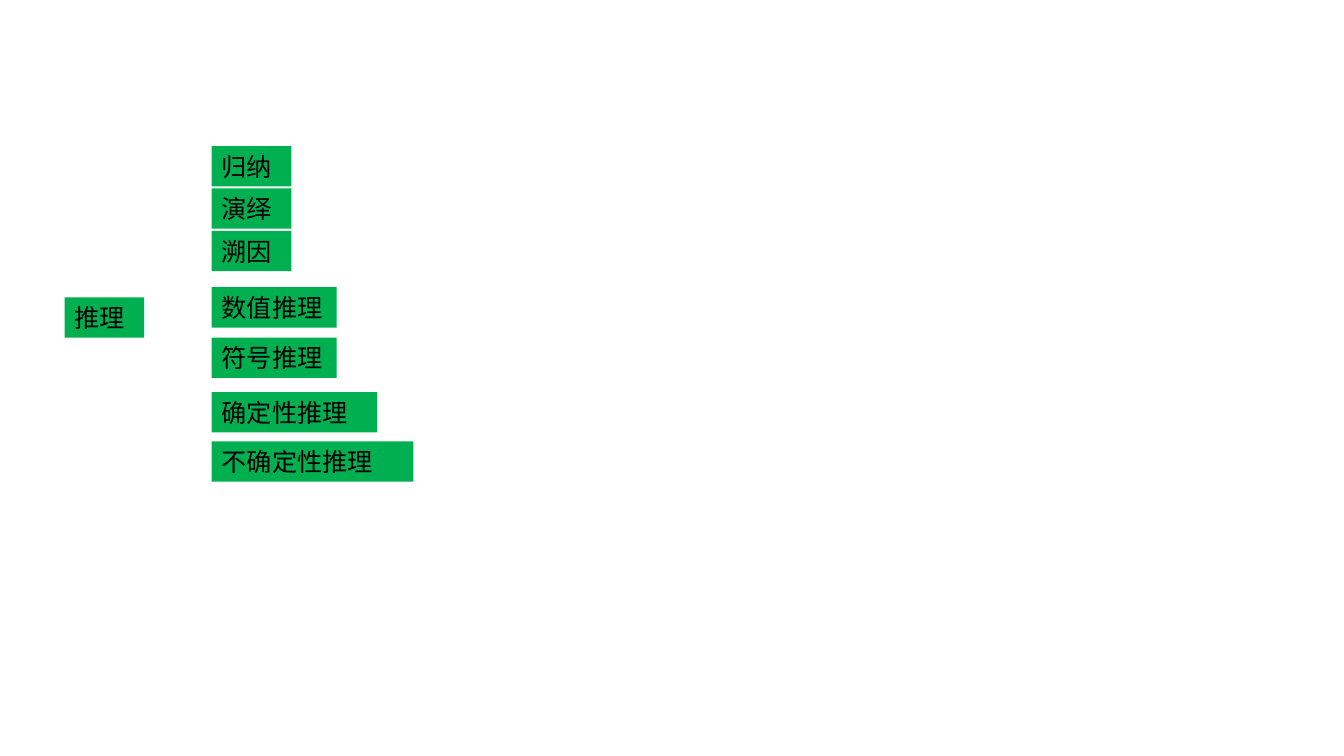
import pptx
import pptx.util
import pptx.dml.color
import pptx.enum.text
import pptx.oxml.ns
from dataclasses import dataclass
from lxml import etree
from pptx.util import Inches


@dataclass(frozen=True)
class Theme:
    box: str = "00B050"
    text: str = "000000"
    font: str = "Noto Sans CJK SC"
    size: int = 18


theme = Theme()
BOX_HEIGHT = 0.4
BRANCH_LEFT = 2.1

presentation = pptx.Presentation()
presentation.slide_width = Inches(13.33)
presentation.slide_height = Inches(7.5)
slide = presentation.slides.add_slide(presentation.slide_layouts[6])


def add_label(text, left, top, width):
    label = slide.shapes.add_textbox(
        Inches(left), Inches(top), Inches(width), Inches(BOX_HEIGHT)
    )
    label.fill.solid()
    label.fill.fore_color.rgb = pptx.dml.color.RGBColor.from_string(theme.box)
    frame = label.text_frame
    frame.text = text
    frame.word_wrap = True
    frame.auto_size = pptx.enum.text.MSO_AUTO_SIZE.NONE
    frame.vertical_anchor = pptx.enum.text.MSO_ANCHOR.MIDDLE
    run = frame.paragraphs[0].runs[0]
    run.font.size = pptx.util.Pt(theme.size)
    run.font.color.rgb = pptx.dml.color.RGBColor.from_string(theme.text)
    run.font.name = theme.font
    east_asian = etree.SubElement(run.font._element, pptx.oxml.ns.qn("a:ea"))
    east_asian.set("typeface", theme.font)


add_label("推理", 0.64, 2.95, 0.79)

branch_groups = [
    (1.45, 0.42, [("归纳", 0.79), ("演绎", 0.79), ("溯因", 0.79)]),
    (2.85, 0.5, [("数值推理", 1.24), ("符号推理", 1.24)]),
    (3.89, 0.49, [("确定性推理", 1.64), ("不确定性推理", 2)]),
]
for group_top, step, branches in branch_groups:
    for index, (name, width) in enumerate(branches):
        add_label(name, BRANCH_LEFT, group_top + index * step, width)

presentation.save("out.pptx")
